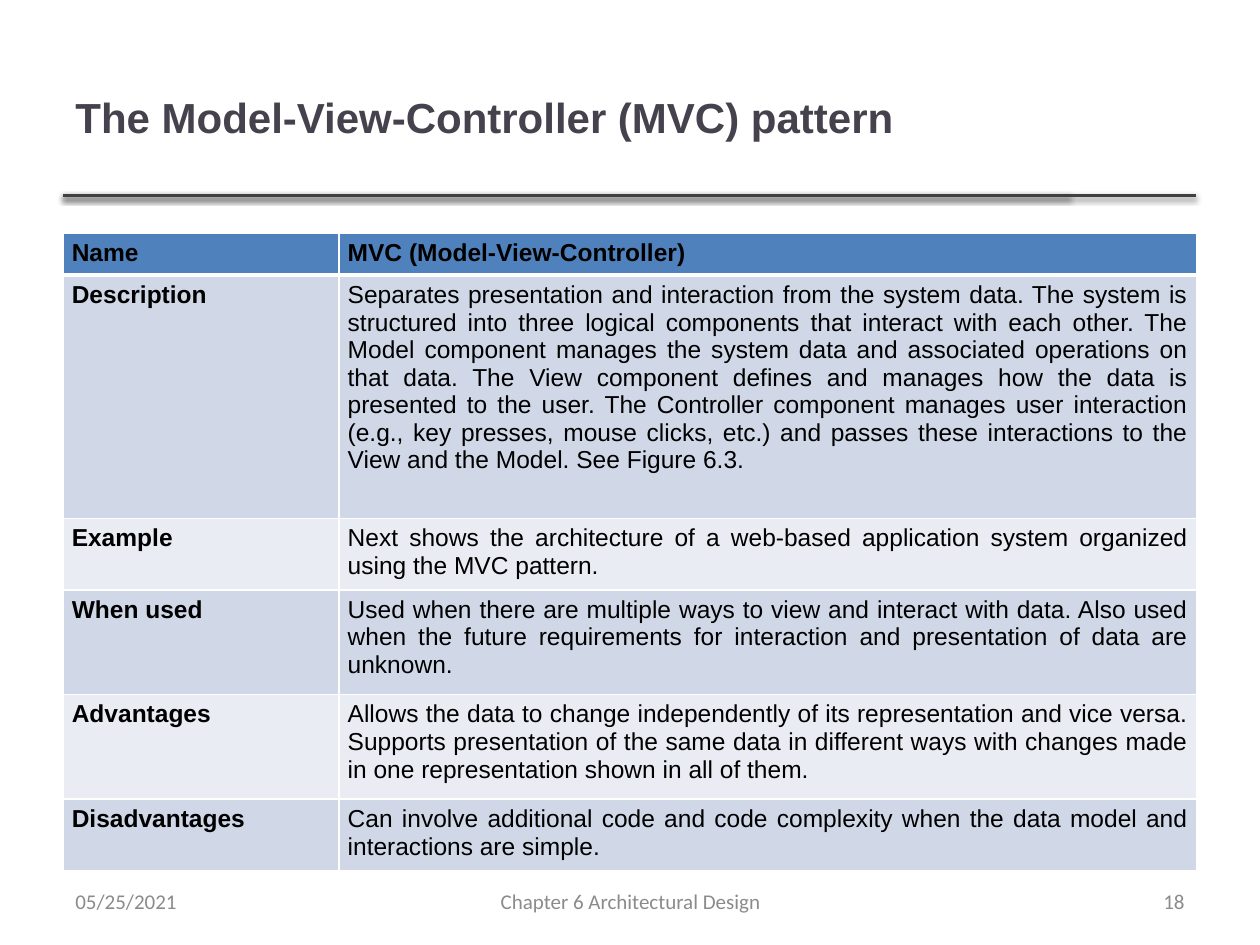
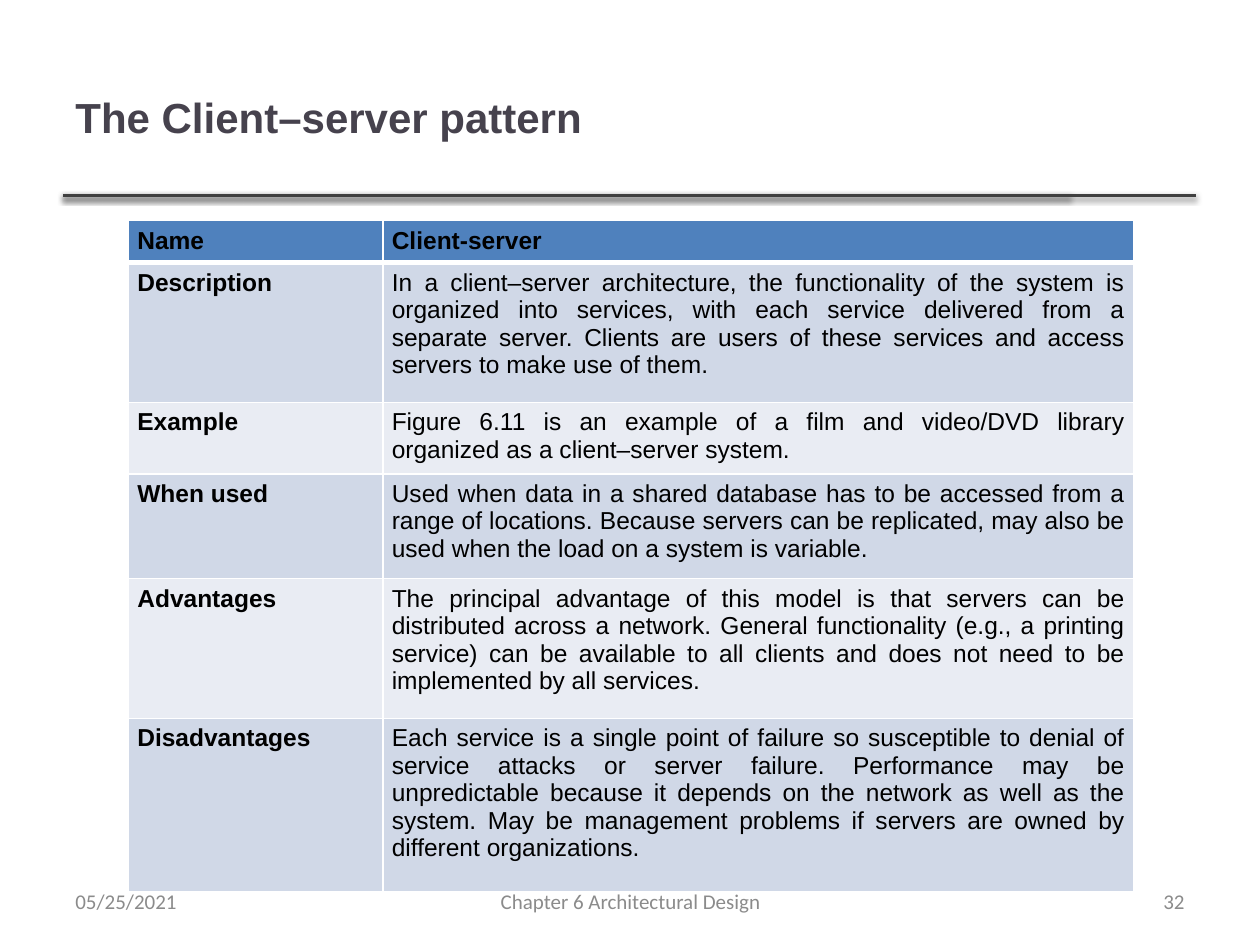
from dataclasses import dataclass

from lxml import etree
from pptx import Presentation
from pptx.dml.color import RGBColor
from pptx.enum.shapes import MSO_CONNECTOR
from pptx.enum.text import MSO_ANCHOR, PP_ALIGN
from pptx.oxml.ns import qn
from pptx.util import Inches, Pt

STRAIGHT = MSO_CONNECTOR.STRAIGHT
MIDDLE = MSO_ANCHOR.MIDDLE
LEFT, CENTER, RIGHT, JUSTIFY = (
    PP_ALIGN.LEFT, PP_ALIGN.CENTER, PP_ALIGN.RIGHT, PP_ALIGN.JUSTIFY)
BLANK_LAYOUT = 6


@dataclass(frozen=True)
class Theme:
    title: str = "46424D"
    rule: str = "404040"
    shadow: str = "000000"
    footer: str = "8B8B8B"
    header_fill: str = "4F81BD"
    band_fills: tuple = ("D0D8E7", "E9ECF3")
    cell_text: str = "000000"
    border: str = "FFFFFF"
    heading_font: str = "Arial"
    footer_font: str = "Calibri"
    title_size: int = 24
    cell_size: int = 14
    footer_size: int = 12
    rule_width: int = 2
    border_width: float = 0.96
    header_border_width: int = 3


THEME = Theme()

DATE = "05/25/2021"
CHAPTER = "Chapter 6 Architectural Design"
ASPECTS = ("Name", "Description", "Example", "When used", "Advantages",
           "Disadvantages")


@dataclass(frozen=True)
class Pattern:
    title: str
    number: int
    table_at: tuple
    columns: tuple
    rows: tuple
    details: tuple


PATTERNS = (
    Pattern(
        title="The Model-View-Controller (MVC) pattern",
        number=18,
        table_at=(0.5, 1.85),
        columns=(2.19, 6.81),
        rows=(0.32, 1.93, 0.55, 0.83, 0.83, 0.55),
        details=(
            "MVC (Model-View-Controller)",
            "Separates presentation and interaction from the system data. "
            "The system is structured into three logical components that "
            "interact with each other. The Model component manages the "
            "system data and associated operations on that data. The View "
            "component defines and manages how the data is presented to the "
            "user. The Controller component manages user interaction (e.g., "
            "key presses, mouse clicks, etc.) and passes these interactions "
            "to the View and the Model. See Figure 6.3.",
            "Next shows the architecture of a web-based application system "
            "organized using the MVC pattern.",
            "Used when there are multiple ways to view and interact with "
            "data. Also used when the future requirements for interaction "
            "and presentation of data are unknown.",
            "Allows the data to change independently of its representation "
            "and vice versa. Supports presentation of the same data in "
            "different ways with changes made in one representation shown "
            "in all of them.",
            "Can involve additional code and code complexity when the data "
            "model and interactions are simple.",
        ),
    ),
    Pattern(
        title="The Client–server pattern",
        number=32,
        table_at=(1.02, 1.75),
        columns=(2.02, 5.96),
        rows=(0.32, 1.11, 0.55, 0.83, 1.11, 1.38),
        details=(
            "Client-server",
            "In a client–server architecture, the functionality of the "
            "system is organized into services, with each service delivered "
            "from a separate server. Clients are users of these services "
            "and access servers to make use of them.",
            "Figure 6.11 is an example of a film and video/DVD library "
            "organized as a client–server system.",
            "Used when data in a shared database has to be accessed from a "
            "range of locations. Because servers can be replicated, may "
            "also be used when the load on a system is variable.",
            "The principal advantage of this model is that servers can be "
            "distributed across a network. General functionality (e.g., a "
            "printing service) can be available to all clients and does not "
            "need to be implemented by all services.",
            "Each service is a single point of failure so susceptible to "
            "denial of service attacks or server failure. Performance may "
            "be unpredictable because it depends on the network as well as "
            "the system. May be management problems if servers are owned by "
            "different organizations.",
        ),
    ),
)


def style_paragraph(paragraph, font_name, size, color, align, bold=False):
    paragraph.alignment = align
    font = paragraph.font
    font.name, font.size, font.bold = font_name, Pt(size), bold
    font.color.rgb = RGBColor.from_string(color)


def add_label(slide, text, box, *style):
    frame = slide.shapes.add_textbox(*map(Inches, box)).text_frame
    frame.word_wrap = True
    frame.vertical_anchor = MIDDLE
    frame.text = text
    style_paragraph(frame.paragraphs[0], *style)


def add_color(parent, color):
    """Append an sRGB colour element to an XML fill or effect."""
    return etree.SubElement(parent, qn("a:srgbClr"), val=color)


def add_title_rule(slide, right):
    """Draw a line under the title with a soft shadow below it."""
    y = Inches(1.55)
    rule = slide.shapes.add_connector(
        STRAIGHT, Inches(0.5), y, Inches(right), y)
    rule.line.color.rgb = RGBColor.from_string(THEME.rule)
    rule.line.width = Pt(THEME.rule_width)
    effects = etree.SubElement(rule._element.spPr, qn("a:effectLst"))
    shadow = etree.SubElement(
        effects, qn("a:outerShdw"), blurRad=str(Pt(3.1)), dist=str(Pt(1.6)),
        dir="5400000", rotWithShape="0")
    etree.SubElement(
        add_color(shadow, THEME.shadow), qn("a:alpha"), val="38000")


def set_borders(cell, top, bottom):
    properties = cell._tc.get_or_add_tcPr()
    widths = {"lnL": THEME.border_width, "lnR": THEME.border_width,
              "lnT": top, "lnB": bottom}
    for side, width in widths.items():
        border = etree.SubElement(
            properties, qn(f"a:{side}"), w=str(Pt(width)))
        add_color(etree.SubElement(border, qn("a:solidFill")), THEME.border)


def fill_cell(cell, text, row, is_aspect):
    thin, thick = THEME.border_width, THEME.header_border_width
    set_borders(cell, top=thick if row == 1 else thin,
                bottom=thick if row == 0 else thin)
    cell.fill.solid()
    fill = THEME.band_fills[(row - 1) % 2] if row else THEME.header_fill
    cell.fill.fore_color.rgb = RGBColor.from_string(fill)
    cell.margin_left = cell.margin_right = Inches(0.07)
    cell.text = text
    style_paragraph(cell.text_frame.paragraphs[0], THEME.heading_font,
                    THEME.cell_size, THEME.cell_text, JUSTIFY,
                    is_aspect or row == 0)


def add_pattern_table(slide, pattern):
    size = sum(pattern.columns), sum(pattern.rows)
    table = slide.shapes.add_table(
        len(pattern.rows), len(pattern.columns),
        *map(Inches, pattern.table_at + size)).table
    for column, width in zip(table.columns, pattern.columns):
        column.width = Inches(width)
    for row, height in zip(table.rows, pattern.rows):
        row.height = Inches(height)
    for row, entry in enumerate(zip(ASPECTS, pattern.details)):
        for column, text in enumerate(entry):
            fill_cell(table.cell(row, column), text, row, column == 0)


def add_footer(slide, number):
    parts = ((CHAPTER, 3.42, 3.17, CENTER),
             (str(number), 7.17, 2.33, RIGHT),
             (DATE, 0.5, 2.33, LEFT))
    for text, left, width, align in parts:
        add_label(slide, text, (left, 6.95, width, 0.4), THEME.footer_font,
                  THEME.footer_size, THEME.footer, align)


def add_pattern_slide(deck, pattern):
    slide = deck.slides.add_slide(deck.slide_layouts[BLANK_LAYOUT])
    for right in (8.49, 9.49):
        add_title_rule(slide, right)
    add_label(slide, pattern.title, (0.5, 0.3, 7.98, 1.25),
              THEME.heading_font, THEME.title_size, THEME.title, LEFT, True)
    add_pattern_table(slide, pattern)
    add_footer(slide, pattern.number)


def main():
    deck = Presentation()
    deck.slide_width, deck.slide_height = Inches(10), Inches(7.5)
    for pattern in PATTERNS:
        add_pattern_slide(deck, pattern)
    deck.save("out.pptx")


if __name__ == "__main__":
    main()
